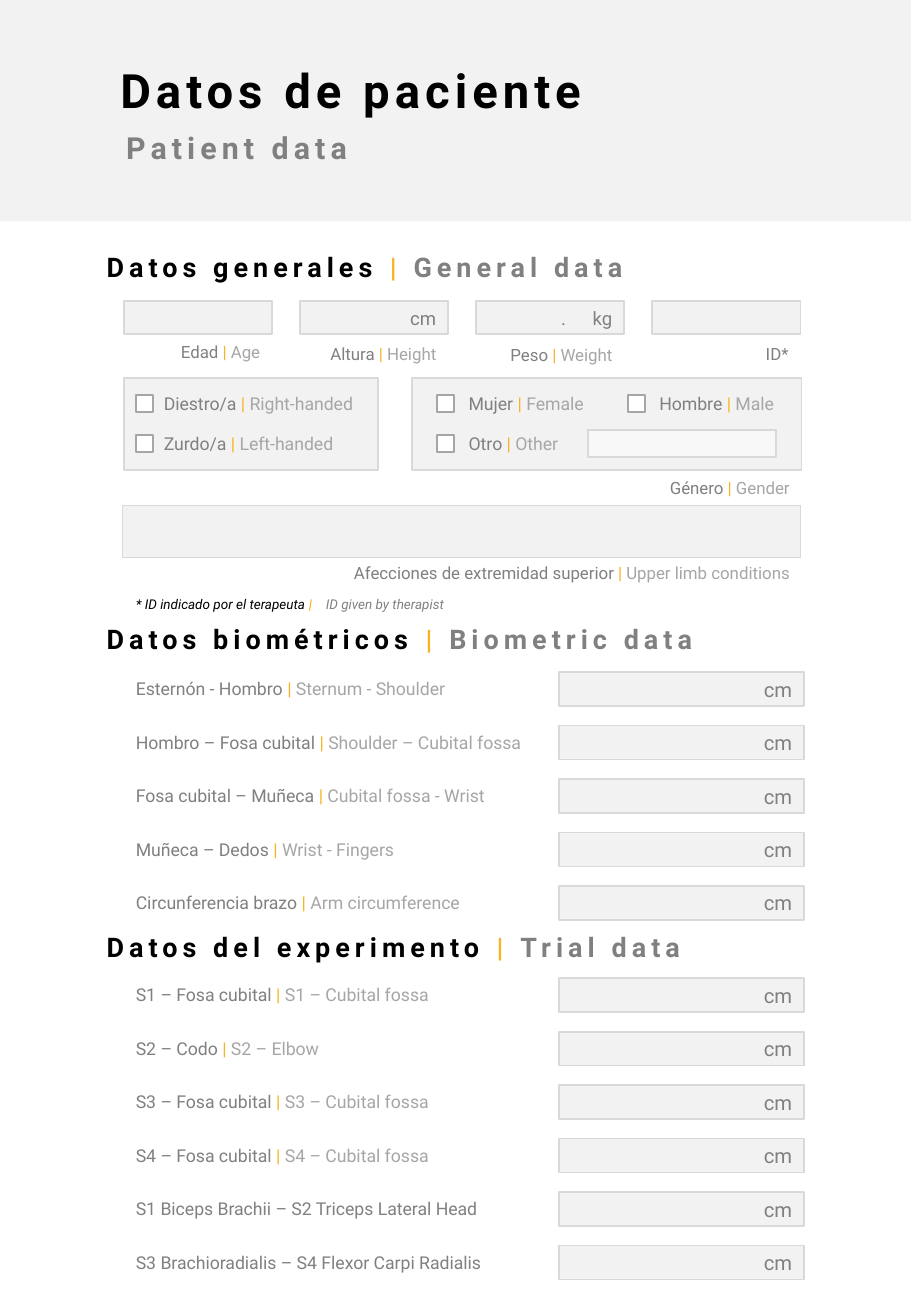
from pptx import Presentation
from pptx.dml.color import RGBColor
from pptx.enum.shapes import MSO_SHAPE as SHAPE
from pptx.enum.text import MSO_ANCHOR as ANCHOR, MSO_AUTO_SIZE as AUTO, PP_ALIGN as ALIGN
from pptx.util import Inches, Pt

COLORS = {
    "black": "000000", "gray": "808080", "light": "A6A6A6", "accent": "F8B323",
    "panel": "F2F2F2", "border": "D9D9D9", "entry": "F8F8F8", "white": "FFFFFF",
}


class Form:
    font = "Roboto"

    def __init__(self, slide):
        self.s = slide

    def color(self, name):
        return RGBColor.from_string(COLORS[name])

    def set_text(self, sp, runs, size, align=ALIGN.LEFT, anchor=ANCHOR.TOP,
                 bold=False, italic=False, spacing=0):
        tf = sp.text_frame
        tf.word_wrap = True
        tf.auto_size = AUTO.NONE
        tf.vertical_anchor = anchor
        p = tf.paragraphs[0]
        p.alignment = align
        p.font.name = self.font
        p.font.size = Pt(size)
        p.font.bold = bold
        p.font.italic = italic
        for text, color in runs:
            r = p.add_run()
            r.text = text
            r.font.color.rgb = self.color(color)
            if spacing:
                r.font._element.set("spc", str(spacing * 100))
        return p

    def title(self, text, x, y, w, h):
        sp = self.s.shapes.title
        self.s.shapes._spTree.append(sp._element)
        sp.left, sp.top, sp.width, sp.height = map(Inches, (x, y, w, h))
        self.set_text(sp, [(text, "black")], 28, bold=True, spacing=3)

    def text(self, runs, x, y, w, h, size, **style):
        sp = self.s.shapes.add_textbox(*map(Inches, (x, y, w, h)))
        return self.set_text(sp, runs, size, **style)

    def box(self, x, y, w, h, fill="panel", line="border"):
        sp = self.s.shapes.add_shape(SHAPE.RECTANGLE, *map(Inches, (x, y, w, h)))
        sp.shadow.inherit = False
        sp.fill.solid()
        sp.fill.fore_color.rgb = self.color(fill)
        if line:
            sp.line.color.rgb = self.color(line)
            sp.line.width = Pt(1)
        else:
            sp.line.fill.background()
        return sp

    def field(self, unit, x, y, w, h, size):
        sp = self.box(x, y, w, h)
        if unit:
            self.set_text(sp, [(unit, "gray")], size, ALIGN.RIGHT, ANCHOR.MIDDLE)

    def bilingual(self, spanish, english, first="gray", second="light"):
        if not english:
            return [(spanish, first)]
        return [(spanish + " ", first), ("| ", "accent"), (english, second)]

    def caption(self, spanish, english, right, y, w):
        self.text(self.bilingual(spanish, english), right - w, y, w, 0.27, 10, align=ALIGN.RIGHT)

    def heading(self, spanish, english, y):
        runs = self.bilingual(spanish, english, "black", "gray")
        self.text(runs, 0.78, y, 5.77, 0.37, 16, bold=True, spacing=3)

    def checkbox(self, spanish, english, x, y, gap, w):
        self.box(x, y, 0.14, 0.14, "white", "light")
        self.text(self.bilingual(spanish, english), x + gap, y - 0.07, w, 0.28, 10.5)

    def measures(self, rows, top):
        for i, (spanish, english) in enumerate(rows):
            y = top + i * 0.44
            self.text(self.bilingual(spanish, english), 1.02, y, 3.37, 0.28, 10.5)
            self.field("cm", 4.6, y, 2.02, 0.28, 12)


def main():
    prs = Presentation()
    prs.slide_width, prs.slide_height = Inches(7.5), Inches(10.83)
    form = Form(prs.slides.add_slide(prs.slide_layouts[5]))

    form.box(0, 0, 7.5, 1.82, line=None)
    form.title("Datos de paciente", 0.89, 0.45, 4.53, 0.57)
    form.text([("Patient data", "gray")], 0.94, 1.01, 2.92, 0.4, 18, bold=True, spacing=3)

    form.heading("Datos generales", "General data", 2.01)
    general = [
        ("Edad", "Age", None, 2.76),
        ("Altura", "Height", "cm", 2.78),
        ("Peso", "Weight", "kg", 2.79),
        ("ID*", None, None, 2.78),
    ]
    for i, (spanish, english, unit, y) in enumerate(general):
        x = 1.02 + i * 1.45
        form.field(unit, x, 2.48, 1.22, 0.27, 11)
        form.caption(spanish, english, x + 1.22, y, 1.35)
    form.text([(".", "gray")], 4.36, 2.48, 0.4, 0.27, 11, align=ALIGN.RIGHT, anchor=ANCHOR.MIDDLE)

    form.box(1.02, 3.11, 2.09, 0.76)
    form.box(3.39, 3.11, 3.21, 0.76)
    form.box(4.84, 3.54, 1.55, 0.22, "entry")
    options = [
        ("Diestro/a", "Right-handed", 1.12, 3.25, 0.13, 1.85),
        ("Zurdo/a", "Left-handed", 1.12, 3.58, 0.13, 1.85),
        ("Mujer", "Female", 3.6, 3.25, 0.16, 1.39),
        ("Hombre", "Male", 5.17, 3.25, 0.16, 1.21),
        ("Otro", "Other", 3.6, 3.58, 0.16, 1.39),
    ]
    for option in options:
        form.checkbox(*option)
    form.caption("Género", "Gender", 6.6, 3.88, 1.5)
    form.box(1.01, 4.16, 5.58, 0.43)
    form.caption("Afecciones de extremidad superior", "Upper limb conditions", 6.6, 4.58, 4.15)

    note = form.bilingual("* ID indicado por el terapeuta", "ID given by therapist", "black", "gray")
    p = form.text(note, 1.02, 4.86, 3.93, 0.24, 8, italic=True)
    bar = p.runs[1].font
    bar.bold = True
    bar._element.set("spc", "300")

    form.heading("Datos biométricos", "Biometric data", 5.07)
    form.measures([
        ("Esternón - Hombro", "Sternum - Shoulder"),
        ("Hombro – Fosa cubital", "Shoulder – Cubital fossa"),
        ("Fosa cubital – Muñeca", "Cubital fossa - Wrist"),
        ("Muñeca – Dedos", "Wrist - Fingers"),
        ("Circunferencia brazo", "Arm circumference"),
    ], 5.53)

    form.heading("Datos del experimento", "Trial data", 7.61)
    form.measures([
        ("S1 – Fosa cubital", "S1 – Cubital fossa"),
        ("S2 – Codo", "S2 – Elbow"),
        ("S3 – Fosa cubital", "S3 – Cubital fossa"),
        ("S4 – Fosa cubital", "S4 – Cubital fossa"),
        ("S1 Biceps Brachii – S2 Triceps Lateral Head", None),
        ("S3 Brachioradialis – S4 Flexor Carpi Radialis", None),
    ], 8.05)

    prs.save("out.pptx")


if __name__ == "__main__":
    main()
